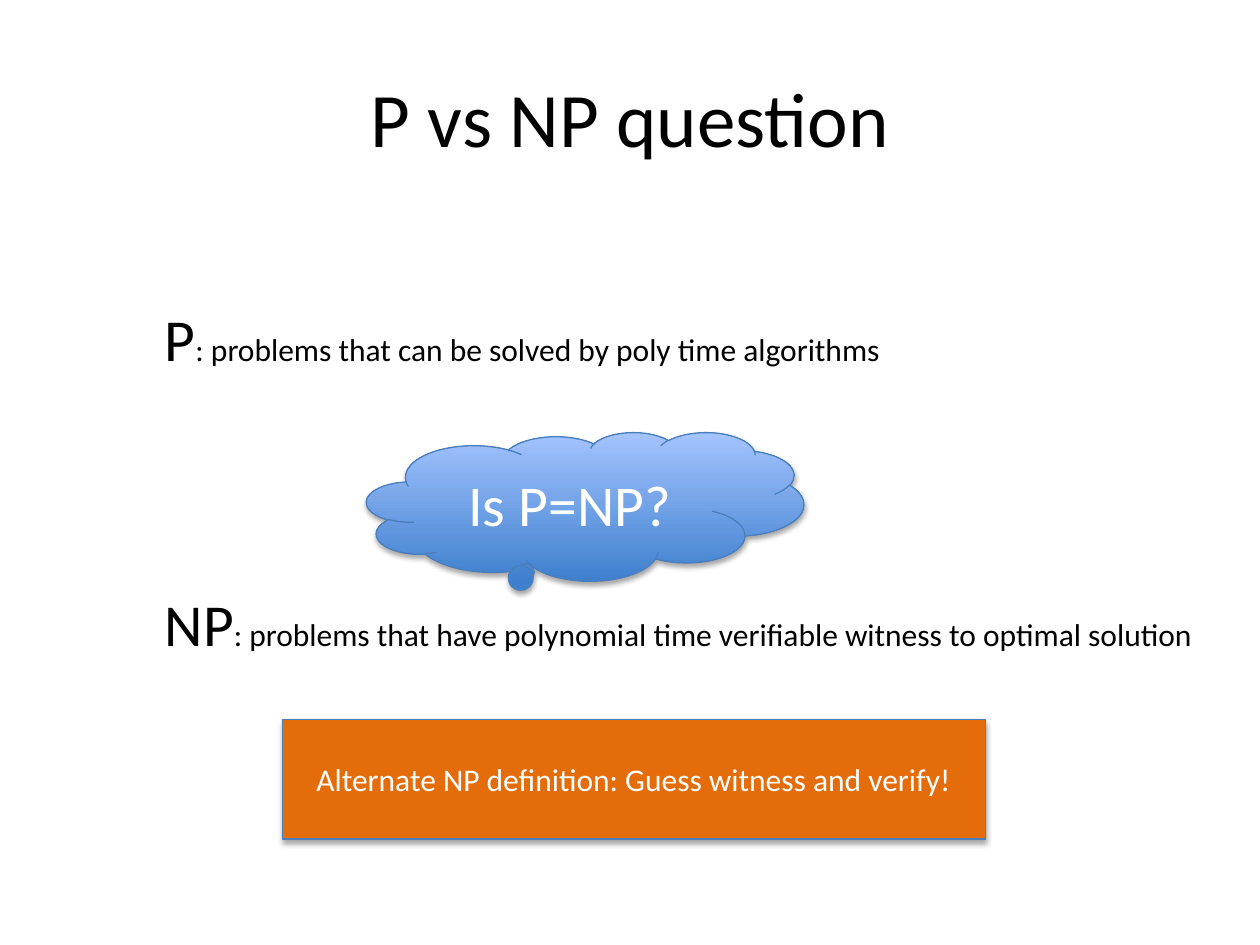
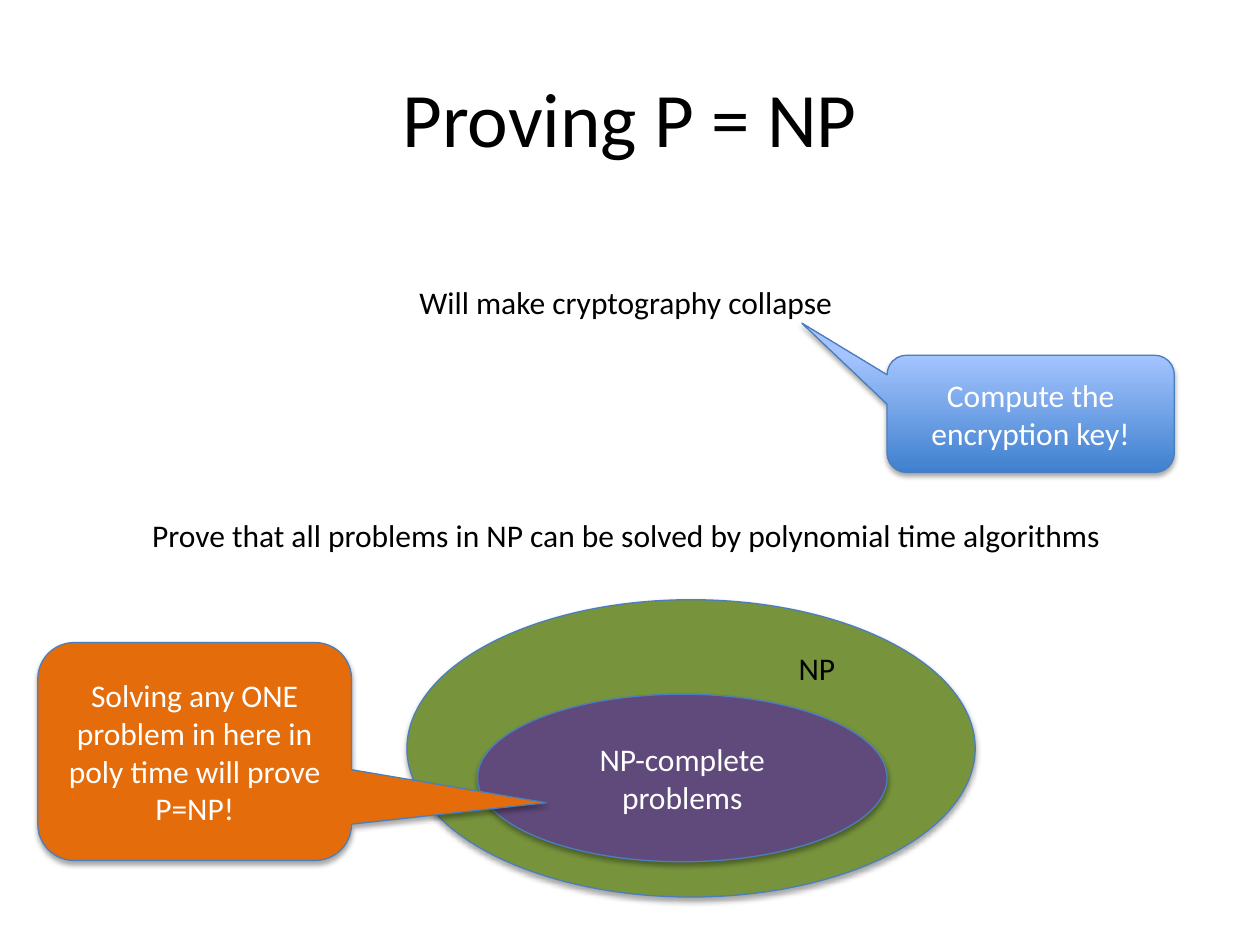
from dataclasses import dataclass

from lxml.etree import SubElement
from pptx import Presentation
from pptx.dml.color import RGBColor
from pptx.enum.shapes import MSO_SHAPE
from pptx.enum.text import MSO_ANCHOR, PP_ALIGN
from pptx.oxml.ns import qn
from pptx.util import Inches, Pt


@dataclass(frozen=True)
class Theme:
    font: str = "Calibri"
    black: str = "000000"
    white: str = "FFFFFF"
    outline: str = "4B7EBC"
    orange: str = "E46C0A"
    green: str = "77933C"
    purple: str = "604A7B"
    blue_gradient: tuple = ("3F80CE", "A4C4FF")
    title_size: int = 44
    term_size: int = 34
    question_size: int = 33
    body_size: int = 18
    line_width: float = 0.75


THEME = Theme()


def add_run(paragraph, text, size, color):
    run = paragraph.add_run()
    run.text = text
    run.font.name = THEME.font
    run.font.size = Pt(size)
    run.font.color.rgb = RGBColor.from_string(color)


def center_text(shape, text, size, color):
    frame = shape.text_frame
    frame.word_wrap = True
    frame.vertical_anchor = MSO_ANCHOR.MIDDLE
    paragraph = frame.paragraphs[0]
    paragraph.alignment = PP_ALIGN.CENTER
    add_run(paragraph, text, size, color)


def add_title_slide(presentation, title):
    slide = presentation.slides.add_slide(presentation.slide_layouts[6])
    box = slide.shapes.add_textbox(Inches(0.5), Inches(0.3), Inches(9), Inches(1.25))
    center_text(box, title, THEME.title_size, THEME.black)
    return slide


def add_statement(shapes, bounds, text, term=""):
    box = shapes.add_textbox(*map(Inches, bounds))
    box.text_frame.word_wrap = False
    paragraph = box.text_frame.paragraphs[0]
    if term:
        add_run(paragraph, term, THEME.term_size, THEME.black)
    add_run(paragraph, text, THEME.body_size, THEME.black)


def add_soft_shadow(shape):
    shape.shadow.inherit = False
    effects = shape._element.spPr.find(qn("a:effectLst"))
    shadow = SubElement(effects, qn("a:outerShdw"), blurRad=str(Pt(3.1)),
                        dist=str(Pt(1.8)), dir="5400000", rotWithShape="0")
    color = SubElement(shadow, qn("a:srgbClr"), val=THEME.black)
    SubElement(color, qn("a:alpha"), val="35000")


def paint(shape, fill):
    if isinstance(fill, tuple):
        shape.fill.gradient()
        shape.fill.gradient_angle = 90
        for stop, color in zip(shape.fill.gradient_stops, fill):
            stop.color.rgb = RGBColor.from_string(color)
    else:
        shape.fill.solid()
        shape.fill.fore_color.rgb = RGBColor.from_string(fill)
    shape.line.color.rgb = RGBColor.from_string(THEME.outline)
    shape.line.width = Pt(THEME.line_width)


def add_figure(shapes, kind, bounds, fill, text="", size=THEME.body_size, pointer=()):
    shape = shapes.add_shape(kind, *map(Inches, bounds))
    for index, value in enumerate(pointer):
        shape.adjustments[index] = value
    paint(shape, fill)
    add_soft_shadow(shape)
    if text:
        center_text(shape, text, size, THEME.white)


def build_question_slide(presentation):
    shapes = add_title_slide(presentation, "P vs NP question").shapes
    add_statement(shapes, (1.21, 2.35, 5.94, 0.67),
                  ": problems that can be solved by poly time algorithms", "P")
    add_statement(shapes, (1.21, 4.61, 8.44, 0.67),
                  ": problems that have polynomial time verifiable witness to optimal solution",
                  "NP")
    add_figure(shapes, MSO_SHAPE.CLOUD_CALLOUT, (2.91, 3.43, 3.47, 1.18),
               THEME.blue_gradient, "Is P=NP?", THEME.question_size, (-0.136, 0.443))
    add_figure(shapes, MSO_SHAPE.RECTANGLE, (2.24, 5.71, 5.58, 0.95), THEME.orange,
               "Alternate NP definition: Guess witness and verify!")


def build_proof_slide(presentation):
    shapes = add_title_slide(presentation, "Proving P = NP").shapes
    add_statement(shapes, (3.23, 2.2, 3.51, 0.4), "Will make cryptography collapse")
    add_figure(shapes, MSO_SHAPE.ROUNDED_RECTANGULAR_CALLOUT, (7.04, 2.82, 2.28, 0.93),
               THEME.blue_gradient, "Compute the encryption key!",
               pointer=(-0.797, -0.775))
    add_statement(shapes, (1.11, 4.05, 7.8, 0.4),
                  "Prove that all problems in NP can be solved by polynomial time algorithms")
    np_class = shapes.add_group_shape().shapes
    add_figure(np_class, MSO_SHAPE.OVAL, (3.23, 4.76, 4.51, 2.36), THEME.green)
    add_statement(np_class, (6.24, 5.1, 0.5, 0.4), "NP")
    add_figure(shapes, MSO_SHAPE.OVAL, (3.79, 5.51, 3.25, 1.33), THEME.purple,
               "NP-complete problems")
    add_figure(shapes, MSO_SHAPE.ROUNDED_RECTANGULAR_CALLOUT, (0.3, 5.1, 2.49, 1.73),
               THEME.orange,
               "Solving any ONE problem in here in poly time will prove P=NP!",
               pointer=(1.12, 0.235))


def main():
    presentation = Presentation()
    presentation.slide_width = Inches(10)
    presentation.slide_height = Inches(7.5)
    build_question_slide(presentation)
    build_proof_slide(presentation)
    presentation.save("out.pptx")


if __name__ == "__main__":
    main()
